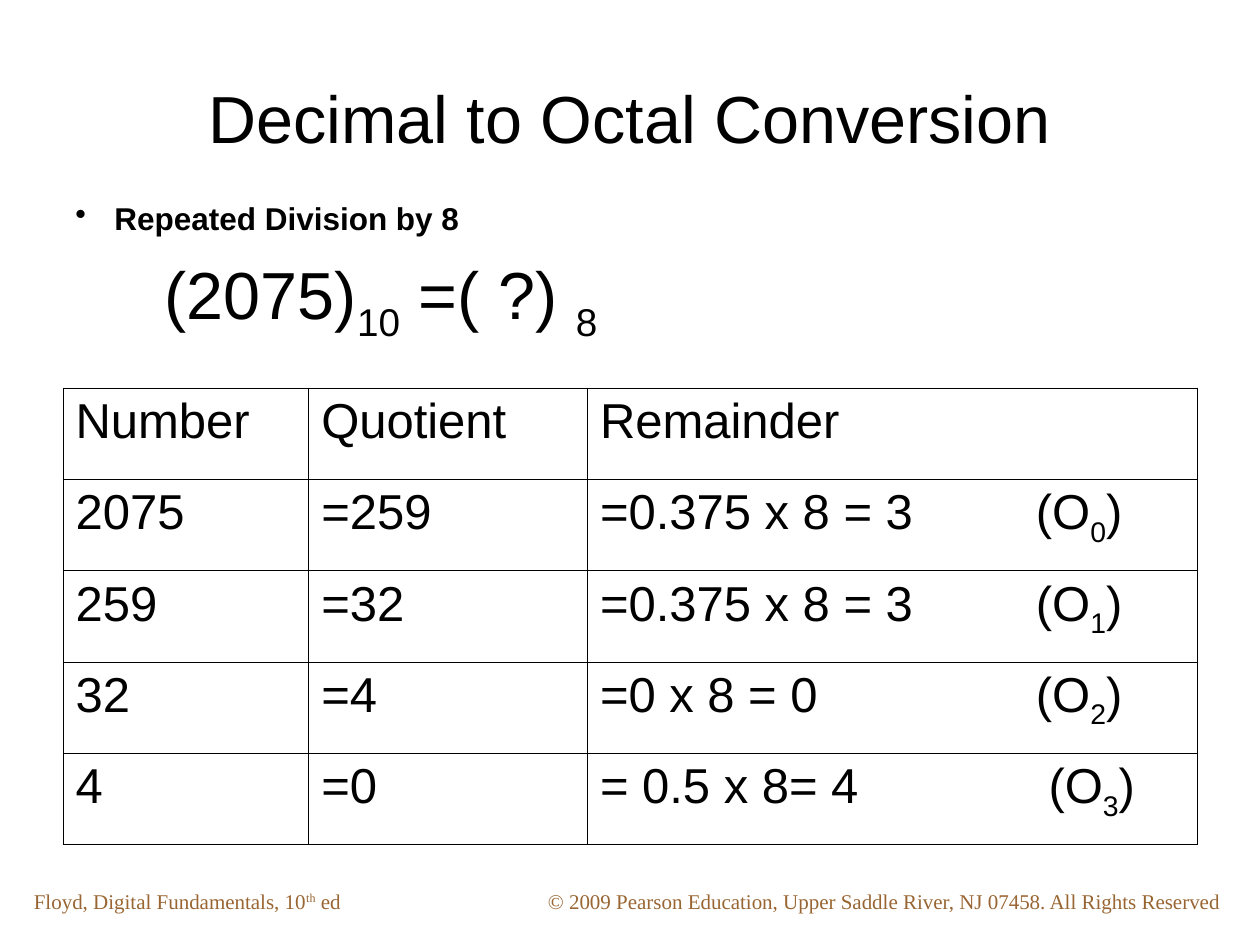
from dataclasses import dataclass

from lxml.etree import SubElement
from pptx import Presentation
from pptx.dml.color import RGBColor
from pptx.enum.text import MSO_ANCHOR, MSO_AUTO_SIZE, PP_ALIGN
from pptx.oxml import parse_xml
from pptx.oxml.ns import nsdecls, qn
from pptx.util import Inches, Pt


@dataclass(frozen=True)
class Theme:
    ink: str = "000000"
    credit: str = "996633"
    body_font: str = "Arial"
    credit_font: str = "Times New Roman"
    display_size: int = 38
    table_size: int = 28
    point_size: int = 18
    credit_size: int = 12
    rule_width: float = 0.45


SUBSCRIPT, SUPERSCRIPT = -25, 30
UNIT = Inches(0.25)  # the slide is a grid of 40 columns by 30 rows


def grid(*lengths):
    return [int(length * UNIT) for length in lengths]


class SlideBuilder:
    def __init__(self, page, theme):
        self.page = page
        self.theme = theme

    def fill_para(self, para, spans, size, color=None, font=None, bold=False):
        """Fill a paragraph with strings or (string, baseline shift) pairs."""
        for item in [spans] if isinstance(spans, str) else spans:
            text, shift = (item, 0) if isinstance(item, str) else item
            span = para.add_run()
            span.text = text
            span.font.name = font or self.theme.body_font
            span.font.size = Pt(size)
            span.font.bold = bold
            span.font.color.rgb = RGBColor.from_string(color or self.theme.ink)
            if shift:
                span._r.get_or_add_rPr().set("baseline", str(shift * 1000))

    def title(self, text, area):
        box = self.page.shapes.title
        box.left, box.top, box.width, box.height = grid(*area)
        frame = box.text_frame
        frame.auto_size = MSO_AUTO_SIZE.NONE
        frame.vertical_anchor = MSO_ANCHOR.MIDDLE
        para = frame.paragraphs[0]
        para.alignment = PP_ALIGN.CENTER
        self.fill_para(para, text, self.theme.display_size)

    def text(self, spans, area, size, bullet=False, **style):
        box = self.page.shapes.add_textbox(*grid(*area))
        frame = box.text_frame
        frame.word_wrap = True
        frame.auto_size = MSO_AUTO_SIZE.SHAPE_TO_FIT_TEXT
        para = frame.paragraphs[0]
        if bullet:
            properties = para._p.get_or_add_pPr()
            indent = Inches(0.31)
            properties.set("marL", str(indent))
            properties.set("indent", str(-indent))
            SubElement(properties, qn("a:buChar")).set("char", "•")
        self.fill_para(para, spans, size, **style)

    def credit(self, spans, area):
        self.text(spans, area, self.theme.credit_size,
                  color=self.theme.credit, font=self.theme.credit_font)

    def table(self, rows, area, columns):
        frame = self.page.shapes.add_table(len(rows), len(columns), *grid(*area))
        table = frame.table
        table.first_row = table.horz_banding = False
        for column, width in zip(table.columns, grid(*columns)):
            column.width = width
        for row, values in zip(table.rows, rows):
            row.height = grid(area[3] / len(rows))[0]
            for cell, value in zip(row.cells, values):
                self.cell(cell, value)

    def cell(self, cell, value):
        cell.fill.background()
        self.borders(cell)
        para = cell.text_frame.paragraphs[0]
        para.alignment = PP_ALIGN.JUSTIFY
        if not isinstance(value, str):
            value, tab = value
            stops = SubElement(para._p.get_or_add_pPr(), qn("a:tabLst"))
            stop = SubElement(stops, qn("a:tab"))
            stop.set("pos", str(Inches(tab)))
            stop.set("algn", "l")
        self.fill_para(para, value, self.theme.table_size)

    def borders(self, cell):
        properties = cell._tc.get_or_add_tcPr()
        for place, side in enumerate("LRTB"):
            properties.insert(place, parse_xml(
                f'<a:ln{side} {nsdecls("a")} w="{Pt(self.theme.rule_width)}">'
                f'<a:solidFill><a:srgbClr val="{self.theme.ink}"/></a:solidFill>'
                f'</a:ln{side}>'))


def remainder(sum_text, digit, tab=3.46):
    """A remainder with its octal digit label at a tab stop."""
    return [f"{sum_text}\t(O", (digit, SUBSCRIPT), ")"], tab


def main():
    theme = Theme()
    deck = Presentation()
    deck.slide_width, deck.slide_height = grid(40, 30)
    page = deck.slides.add_slide(deck.slide_layouts[5])
    builder = SlideBuilder(page, theme)

    # Footer
    builder.credit("© 2009 Pearson Education, Upper Saddle River, NJ 07458. "
                   "All Rights Reserved", (17, 28, 22.32, 1.2))
    builder.credit(["Floyd, Digital Fundamentals, 10", ("th", SUPERSCRIPT), " ed"],
                   (0.68, 28, 12.32, 1.2))

    # Heading
    builder.title("Decimal to Octal Conversion", (2, 1.2, 36, 5))

    # Division steps
    builder.table([
        ("Number", "Quotient", "Remainder"),
        ("2075", "=259", remainder("=0.375 x 8 = 3", "0")),
        ("259", "=32", remainder("=0.375 x 8 = 3", "1")),
        ("32", "=4", remainder("=0 x 8 = 0", "2")),
        ("4", "=0", remainder("= 0.5 x 8= 4", "3", tab=3.56)),
    ], (2, 12.32, 36, 14.5), (7.8, 8.85, 19.35))

    # Method and problem
    builder.text("Repeated Division by 8", (2, 6.12, 27, 1.6),
                 theme.point_size, bullet=True, bold=True)
    builder.text(["(2075)", ("10", SUBSCRIPT), " =( ?) ", ("8", SUBSCRIPT)],
                 (4.84, 7.84, 21.32, 3.28), theme.display_size)

    deck.save("out.pptx")


if __name__ == "__main__":
    main()
